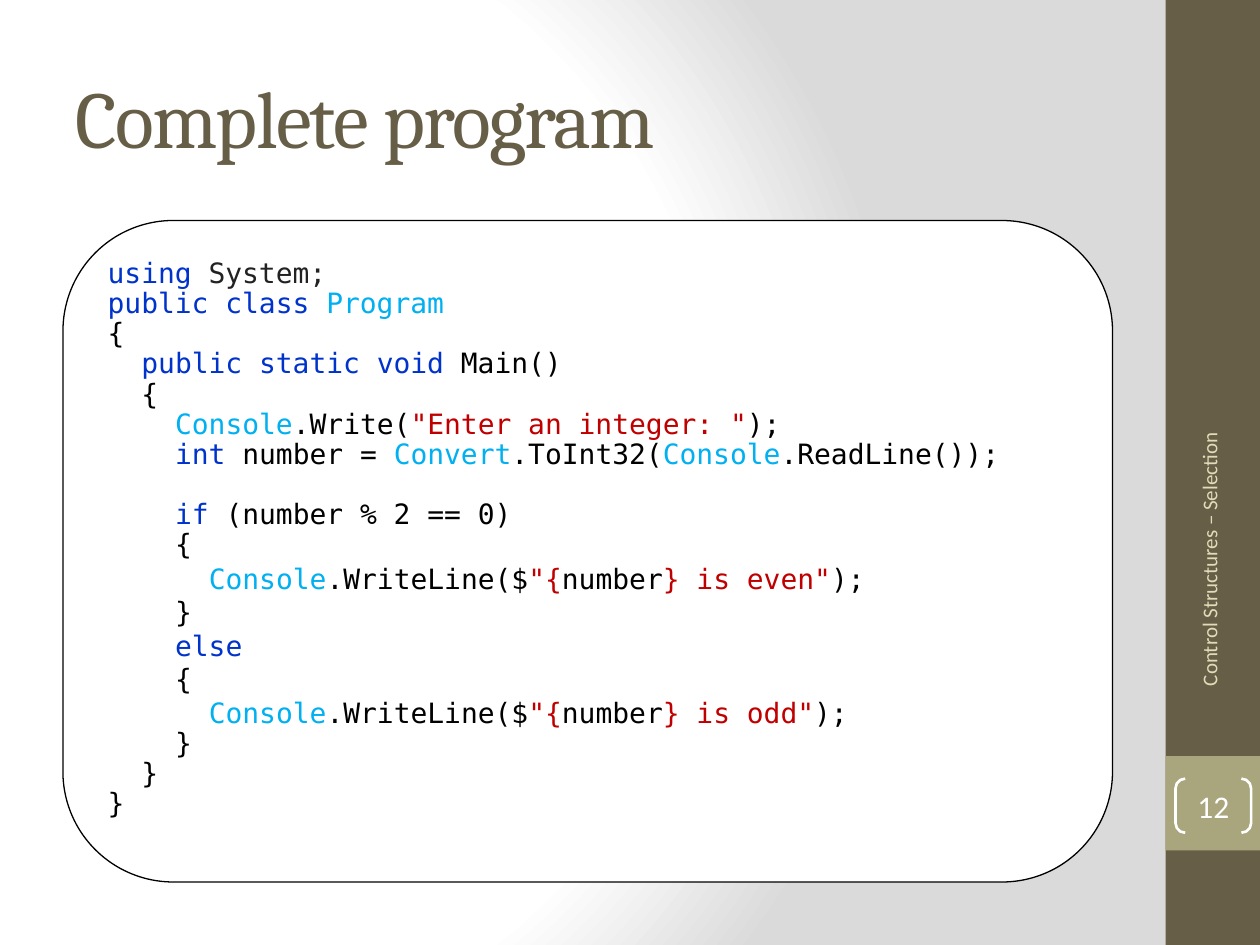
from typing import NamedTuple

from pptx import Presentation
from pptx.dml.color import RGBColor
from pptx.enum.shapes import MSO_SHAPE
from pptx.enum.text import MSO_ANCHOR, PP_ALIGN
from pptx.oxml import parse_xml
from pptx.oxml.ns import nsdecls, qn
from pptx.util import Inches, Pt

BROWN = RGBColor(0x67, 0x5E, 0x47)
OLIVE = RGBColor(0xA9, 0xA5, 0x7C)
SAND = RGBColor(0xDF, 0xDC, 0xB7)
WHITE = RGBColor(0xFF, 0xFF, 0xFF)
BLACK = RGBColor(0x00, 0x00, 0x00)
GREY = RGBColor(0xDA, 0xDA, 0xDA)
DARK = RGBColor(0x22, 0x22, 0x22)
BLUE = RGBColor(0x00, 0x33, 0xCC)
CYAN = RGBColor(0x00, 0xB0, 0xF0)
RED = RGBColor(0xC0, 0x00, 0x00)

COLS, ROWS = 40, 30
CELL = Inches(0.25)
INDENT = Pt(19.27)
GAP = Pt(17.2)
MONO = "DejaVu Sans Mono"


class Box(NamedTuple):
    col: float
    row: float
    wide: float
    high: float

    def place(self) -> list[int]:
        return [round(n * CELL) for n in self]


class Bit(NamedTuple):
    text: str
    color: RGBColor = BLACK


class Line(NamedTuple):
    level: int
    bits: list[Bit]
    tight: bool = True
    gap: bool = False


class Label(NamedTuple):
    box: Box
    bit: Bit
    font: str
    size: int
    align: PP_ALIGN = PP_ALIGN.LEFT
    turn: int = 0
    space: int = 0


def brace(mark: str, level: int, tight: bool = True) -> Line:
    return Line(level, [Bit(mark)], tight)


def report(word: str) -> Line:
    return Line(3, [Bit("Console", CYAN), Bit(".WriteLine($"), Bit('"{', RED),
                    Bit("number"), Bit(f'}} is {word}"', RED), Bit(");")], False)


BARS = [(Box(37, 0, 3, ROWS), BROWN), (Box(37, 24, 3, 3), OLIVE)]
CARD = Box(2, 7, 33.32, 21)
BADGE = Box(37.32, 24.72, 2.4, 1.72)
LABELS = [
    Label(Box(2, 1.2, 33.32, 5), Bit("Complete program", BROWN), "Cambria", 46, space=-100),
    Label(Box(33.2, 17.72, 10.36, 1.6), Bit("Control Structures – Selection", SAND),
          "Calibri", 12, PP_ALIGN.RIGHT, 270),
]
CODE = [
    Line(0, [Bit("using", BLUE), Bit(" System;", DARK)]),
    Line(0, [Bit("public class ", BLUE), Bit("Program", CYAN)]),
    brace("{", 0),
    Line(1, [Bit("public static void", BLUE), Bit(" Main()")]),
    brace("{", 1),
    Line(2, [Bit("Console", CYAN), Bit(".Write("), Bit('"Enter an integer: "', RED), Bit(");")]),
    Line(2, [Bit("int ", BLUE), Bit("number = "), Bit("Convert", CYAN), Bit(".ToInt32("),
             Bit("Console", CYAN), Bit(".ReadLine());")]),
    Line(2, [Bit("if", BLUE), Bit(" (number % 2 == 0)")], gap=True),
    brace("{", 2),
    report("even"),
    brace("}", 2, False),
    Line(2, [Bit("else", BLUE)], False),
    brace("{", 2, False),
    report("odd"),
    brace("}", 2),
    brace("}", 1),
    brace("}", 0),
]


def add_bit(para, bit: Bit, font: str, size: int):
    run = para.add_run()
    run.text = bit.text
    run.font.name = font
    run.font.size = Pt(size)
    run.font.color.rgb = bit.color
    return run


def add_shape(slide, kind: MSO_SHAPE, box: Box, fill=None, line=None, width: float = 0):
    shape = slide.shapes.add_shape(kind, *box.place())
    shape.shadow.inherit = False
    if fill is None:
        shape.fill.background()
    else:
        shape.fill.solid()
        shape.fill.fore_color.rgb = fill
    if line is None:
        shape.line.fill.background()
    else:
        shape.line.color.rgb = line
        shape.line.width = Pt(width)
    return shape


def add_label(slide, label: Label) -> None:
    shape = slide.shapes.add_textbox(*label.box.place())
    shape.rotation = label.turn
    frame = shape.text_frame
    frame.word_wrap = True
    frame.vertical_anchor = MSO_ANCHOR.MIDDLE
    para = frame.paragraphs[0]
    para.alignment = label.align
    run = add_bit(para, label.bit, label.font, label.size)
    if label.space:
        run.font._element.set("spc", str(label.space))


def add_code(slide) -> None:
    card = add_shape(slide, MSO_SHAPE.ROUNDED_RECTANGLE, CARD, WHITE, BLACK, 0.75)
    card.adjustments[0] = 0.167
    frame = card.text_frame
    frame.word_wrap = True
    frame.vertical_anchor = MSO_ANCHOR.TOP
    for spot, line in enumerate(CODE):
        para = frame.add_paragraph() if spot else frame.paragraphs[0]
        para.alignment = PP_ALIGN.LEFT
        para.line_spacing = 0.9 if line.tight else 1.0
        if line.gap:
            para.space_before = GAP
        props = para._p.get_or_add_pPr()
        props.set("marL", str(line.level * INDENT))
        props.set("indent", "0")
        for bit in line.bits:
            add_bit(para, bit, MONO, 16)


def add_badge(slide) -> None:
    badge = add_shape(slide, MSO_SHAPE.DOUBLE_BRACKET, BADGE, line=WHITE, width=1.5)
    badge.adjustments[0] = 0.179
    frame = badge.text_frame
    frame.margin_left = frame.margin_right = frame.margin_top = frame.margin_bottom = 0
    frame.vertical_anchor = MSO_ANCHOR.MIDDLE
    para = frame.paragraphs[0]
    para.alignment = PP_ALIGN.CENTER
    add_bit(para, Bit("12", WHITE), "Calibri", 18)


def set_back(slide) -> None:
    slide.background.fill.gradient()
    old = slide.element.find(".//" + qn("a:gradFill"))
    stops = "".join(f'<a:gs pos="{pos * 1000}"><a:srgbClr val="{color}"/></a:gs>'
                    for pos, color in [(0, WHITE), (75, WHITE), (100, GREY)])
    new = parse_xml(
        f'<a:gradFill {nsdecls("a")} rotWithShape="1"><a:gsLst>{stops}</a:gsLst>'
        '<a:path path="circle"><a:fillToRect l="20000" t="50000" r="100000" b="50000"/>'
        '</a:path></a:gradFill>')
    old.getparent().replace(old, new)


def main() -> None:
    deck = Presentation()
    deck.slide_width, deck.slide_height = COLS * CELL, ROWS * CELL
    slide = deck.slides.add_slide(deck.slide_layouts[6])
    set_back(slide)
    for box, color in BARS:
        add_shape(slide, MSO_SHAPE.RECTANGLE, box, color)
    for label in LABELS:
        add_label(slide, label)
    add_badge(slide)
    add_code(slide)
    deck.save("out.pptx")


if __name__ == "__main__":
    main()
